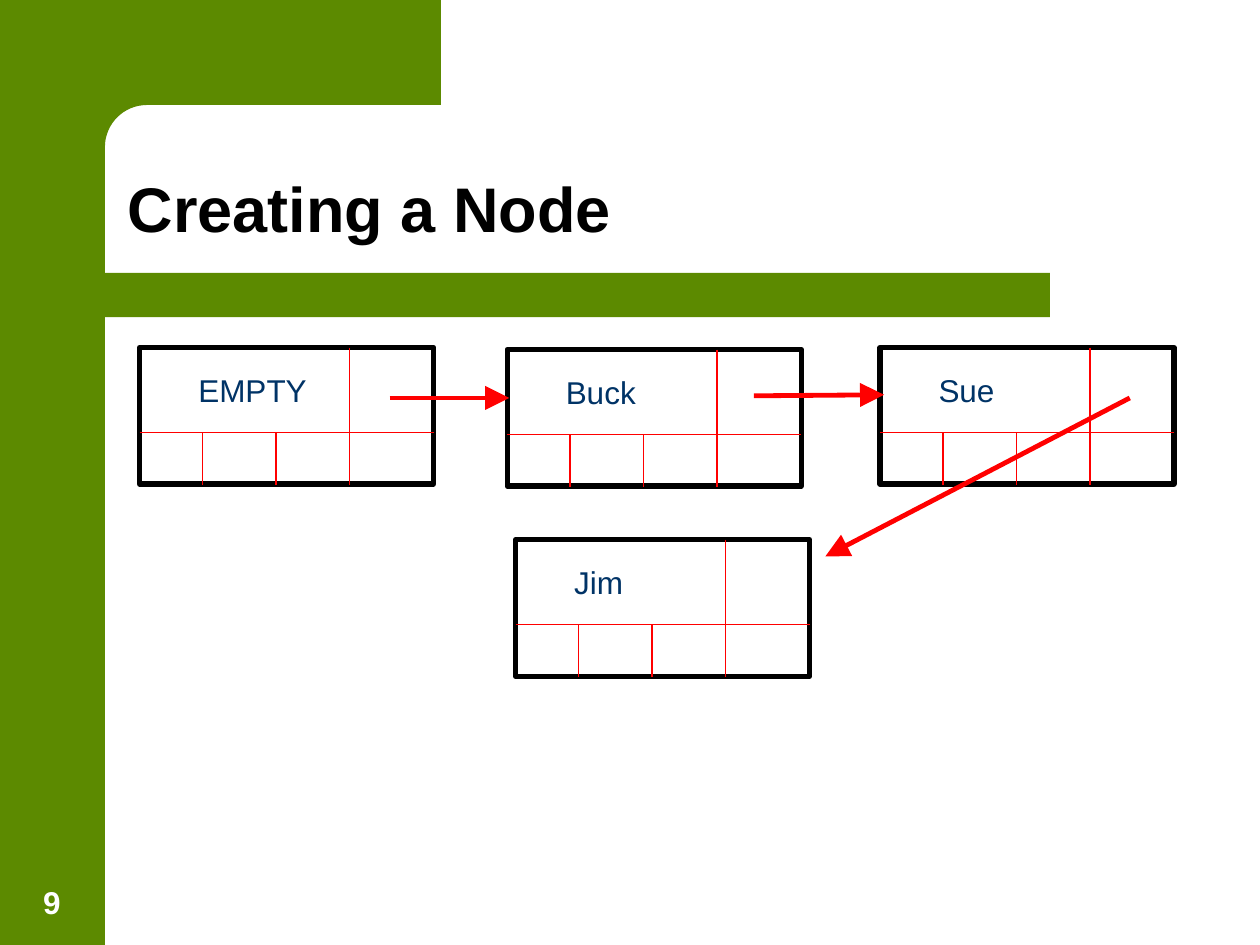
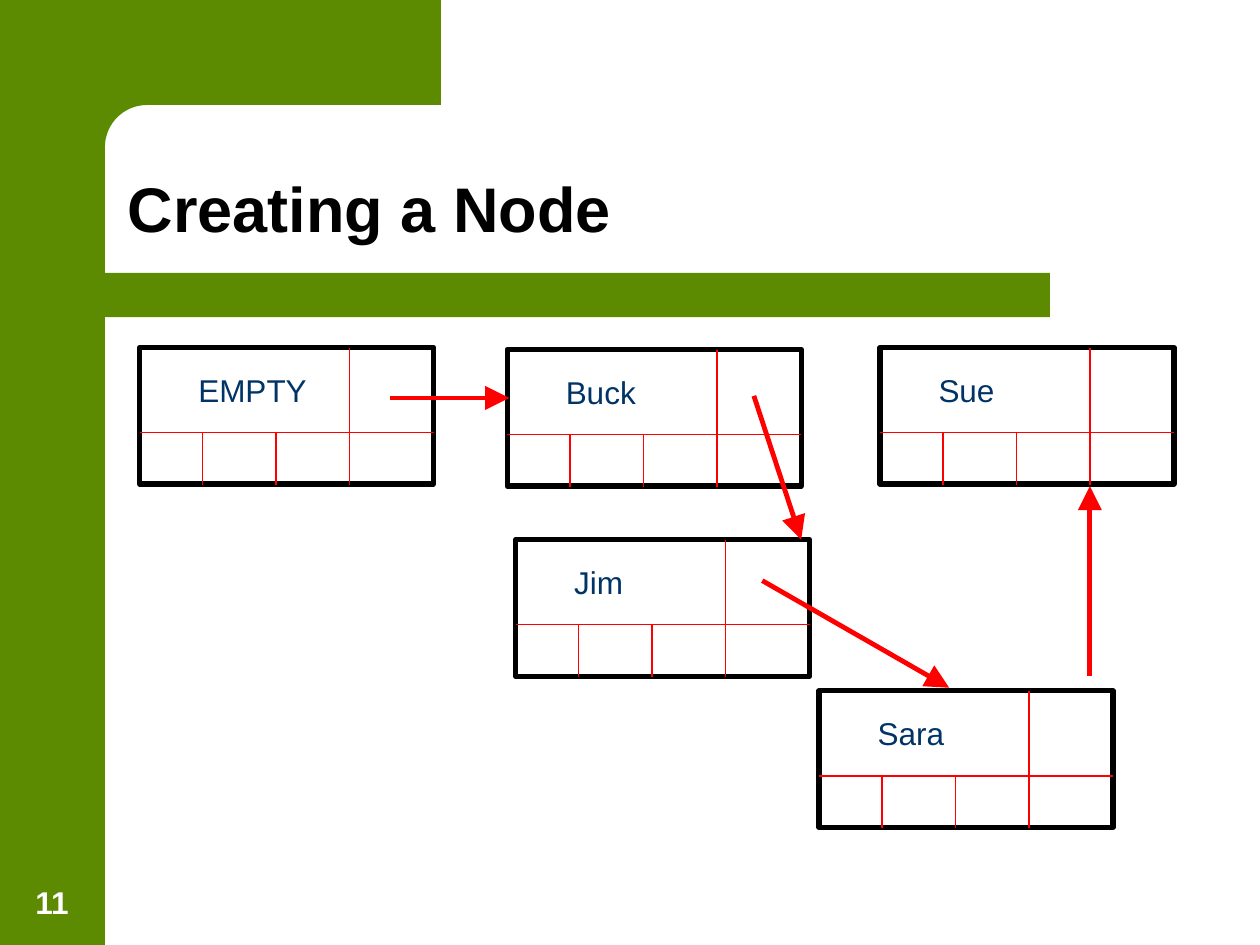
import dataclasses
import math

import lxml.etree
import pptx
import pptx.dml.color
import pptx.enum.shapes
import pptx.enum.text
import pptx.oxml.ns
import pptx.util

COLS, ROWS = 12, 9
KIND = pptx.enum.shapes.MSO_SHAPE
ALIGN = pptx.enum.text.PP_ALIGN
ANCHOR = pptx.enum.text.MSO_ANCHOR
FIT = pptx.enum.text.MSO_AUTO_SIZE


@dataclasses.dataclass(frozen=True)
class Theme:
    green: str = "5C8A00"
    black: str = "000000"
    white: str = "FFFFFF"
    navy: str = "003366"
    red: str = "FF0000"
    font: str = "Arial"
    head: float = 36
    body: float = 18
    edge: float = 3
    thin: float = 0.75
    thick: float = 2.75


NODES = {
    "EMPTY": (1.33, 3.31, 1.28),
    "Buck": (4.83, 3.33, 0.92),
    "Sue": (8.38, 3.31, 0.78),
    "Jim": (4.91, 5.14, 0.72),
    "Sara": (7.8, 6.58, 0.89),
}
FIRST = ((3.71, 3.79), (4.85, 3.79))
BUCK = (7.18, 3.77)
PAGES = [
    ("9", ["Buck", "Jim", "Sue", "EMPTY"],
     [((10.76, 3.79), (7.86, 5.3)), (BUCK, (8.42, 3.76)), FIRST]),
    ("11", ["Sara", "Buck", "Jim", "Sue", "EMPTY"],
     [((7.26, 5.53), (9.04, 6.55)), ((10.38, 6.44), (10.38, 4.63)),
      (BUCK, (7.63, 5.14)), FIRST]),
]


def tint(code):
    return pptx.dml.color.RGBColor.from_string(code)


class Deck:
    def __init__(self, theme):
        self.theme = theme
        self.file = pptx.Presentation()
        self.file.slide_width = pptx.util.Inches(10)
        self.file.slide_height = pptx.util.Inches(7.5)
        self.slide = None

    def grid(self, *sizes):
        units = (self.file.slide_width / COLS, self.file.slide_height / ROWS)
        return [round(size * units[i % 2]) for i, size in enumerate(sizes)]

    def paint(self, shape, fill=None, edge=None):
        shape.shadow.inherit = False
        if fill:
            shape.fill.solid()
            shape.fill.fore_color.rgb = tint(fill)
        else:
            shape.fill.background()
        if edge:
            shape.line.color.rgb = tint(edge)
            shape.line.width = pptx.util.Pt(self.theme.edge)
        else:
            shape.line.fill.background()
        return shape

    def box(self, area, place, kind=KIND.RECTANGLE, **style):
        return self.paint(area.add_shape(kind, *self.grid(*place)), **style)

    def line(self, area, start, end, width, arrow=False):
        rod = area.add_connector(
            pptx.enum.shapes.MSO_CONNECTOR.STRAIGHT, *self.grid(*start, *end))
        rod.line.color.rgb = tint(self.theme.red)
        rod.line.width = pptx.util.Pt(width)
        name = pptx.oxml.ns.qn
        props = rod.element.spPr
        if arrow:
            lxml.etree.SubElement(
                props.find(name("a:ln")), name("a:tailEnd"),
                type="triangle", w="lg", len="lg")
        lxml.etree.SubElement(props, name("a:effectLst"))

    def text(self, area, words, place, *, size, color, bold=False, wrap=True,
             align=ALIGN.LEFT, anchor=ANCHOR.TOP, fit=FIT.NONE, space=1.0):
        frame = area.add_textbox(*self.grid(*place)).text_frame
        frame.word_wrap = wrap
        frame.auto_size = fit
        frame.vertical_anchor = anchor
        para = frame.paragraphs[0]
        para.alignment = align
        para.line_spacing = space
        run = para.add_run()
        run.text = words
        run.font.name = self.theme.font
        run.font.size = pptx.util.Pt(size)
        run.font.bold = bold
        run.font.color.rgb = tint(color)

    def corner(self, area):
        turns = [math.radians(90 * step / 16) for step in range(17)]
        curve = [(1.4 - 0.4 * math.sin(t), 1.4 - 0.4 * math.cos(t)) for t in turns]
        points = [(4.2, 0), (4.2, 1), *curve, (1, 1.53), (0.6, 1.53)]
        pen = area.build_freeform(*self.grid(0.6, 0))
        pen.add_line_segments([self.grid(*point) for point in points])
        self.paint(pen.convert_to_shape(), fill=self.theme.green)

    def page(self, title, number):
        self.slide = self.file.slides.add_slide(self.file.slide_layouts[6])
        look = self.theme
        area = self.slide.shapes
        band = area.add_group_shape().shapes
        self.box(band, (0, 0, 1, ROWS), fill=look.green)
        self.corner(band)
        bar = self.box(band, (0.8, 2.6, 9.2, 0.42), KIND.ROUNDED_RECTANGLE,
                       fill=look.green)
        bar.adjustments[0] = 0
        cap = self.box(band, (0.3, 2.6, 0.51, 0.42), KIND.FLOWCHART_DELAY,
                       fill=look.green)
        cap.rotation = 180
        self.text(area, title, (1.1, 1.09, 10.21, 1.31), size=look.head,
                  color=look.black, bold=True, anchor=ANCHOR.BOTTOM, space=0.9)
        self.text(area, number, (0.11, 8.19, 0.77, 0.64), size=look.body,
                  color=look.white, bold=True, align=ALIGN.CENTER,
                  anchor=ANCHOR.BOTTOM)

    def node(self, name):
        left, top, wide = NODES[name]
        look = self.theme
        area = self.slide.shapes.add_group_shape().shapes
        self.box(area, (left, top, 2.8, 1.3), edge=look.black)
        shelf, base = top + 0.81, top + 1.31
        last = left + 2
        self.line(area, (left, shelf), (left + 2.8, shelf), look.thin)
        for side in (left + 0.6, left + 1.3, last):
            self.line(area, (side, shelf), (side, base), look.thin)
        self.line(area, (last, top), (last, shelf), look.thin)
        self.text(area, name, (left + 0.44, top + 0.16, wide, 0.48),
                  size=look.body, color=look.navy, wrap=False,
                  fit=FIT.SHAPE_TO_FIT_TEXT)

    def arrow(self, start, end):
        self.line(self.slide.shapes, start, end, self.theme.thick, arrow=True)


def main():
    deck = Deck(Theme())
    for number, names, links in PAGES:
        deck.page("Creating a Node", number)
        for name in names:
            deck.node(name)
        for start, end in links:
            deck.arrow(start, end)
    deck.file.save("out.pptx")


if __name__ == "__main__":
    main()
